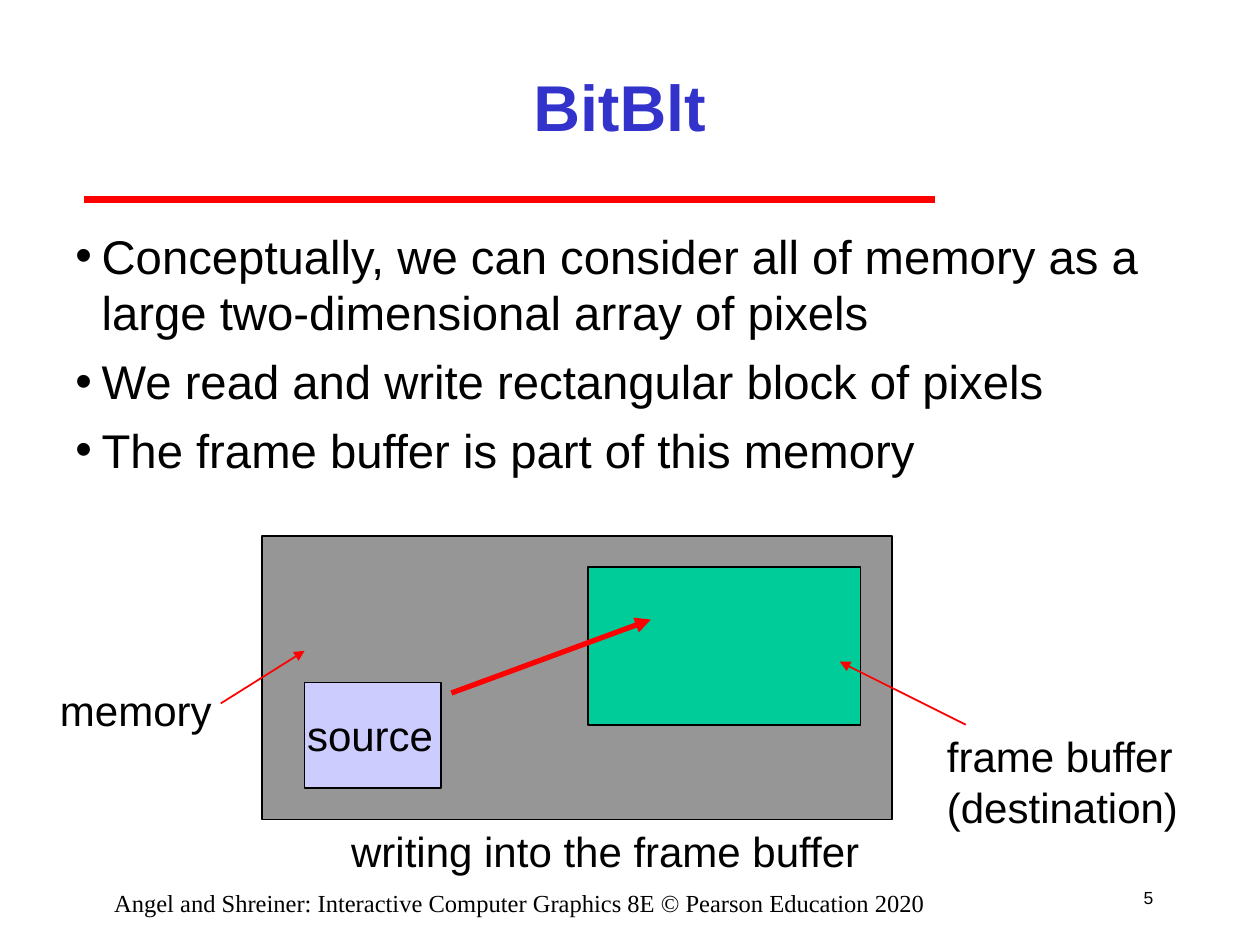
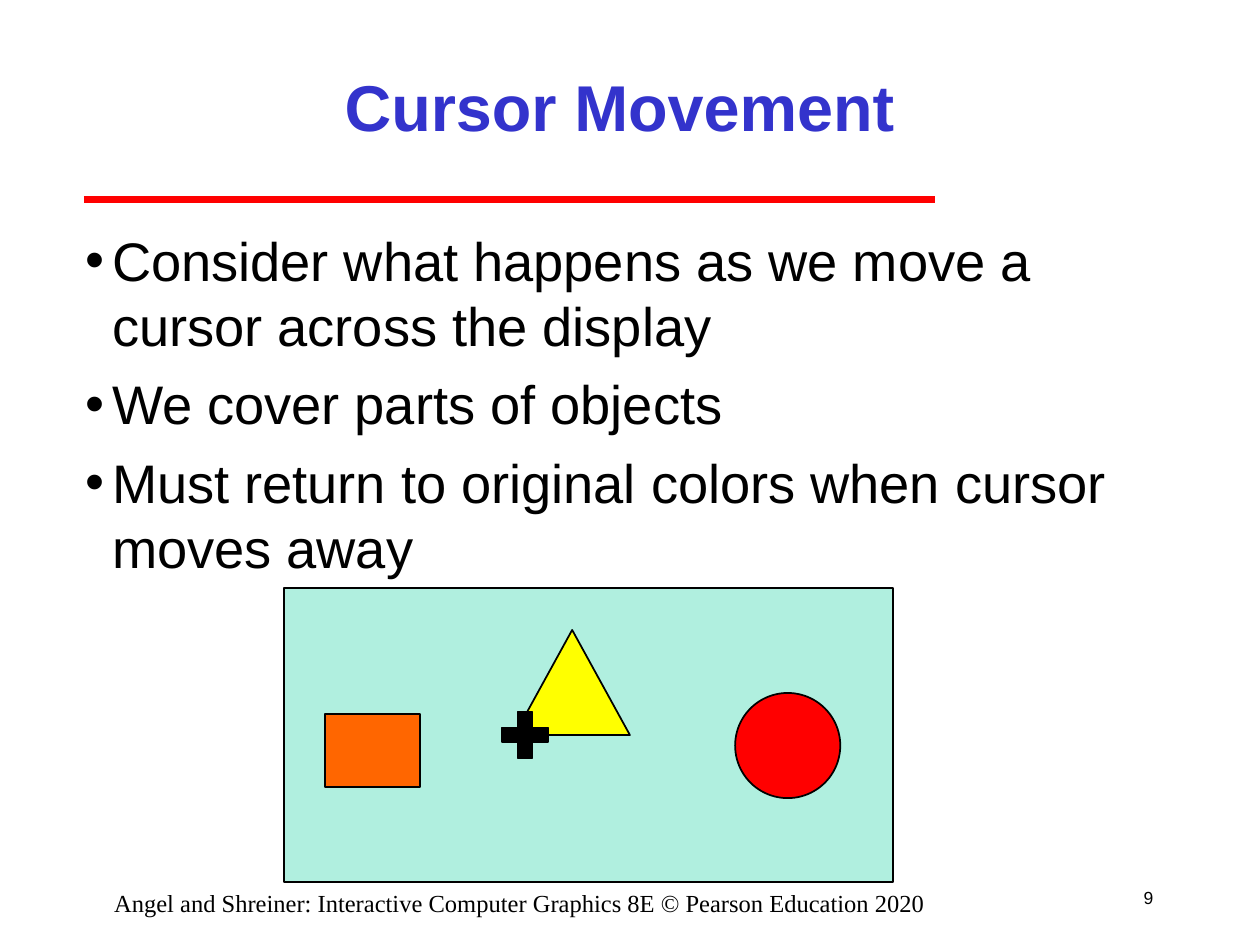
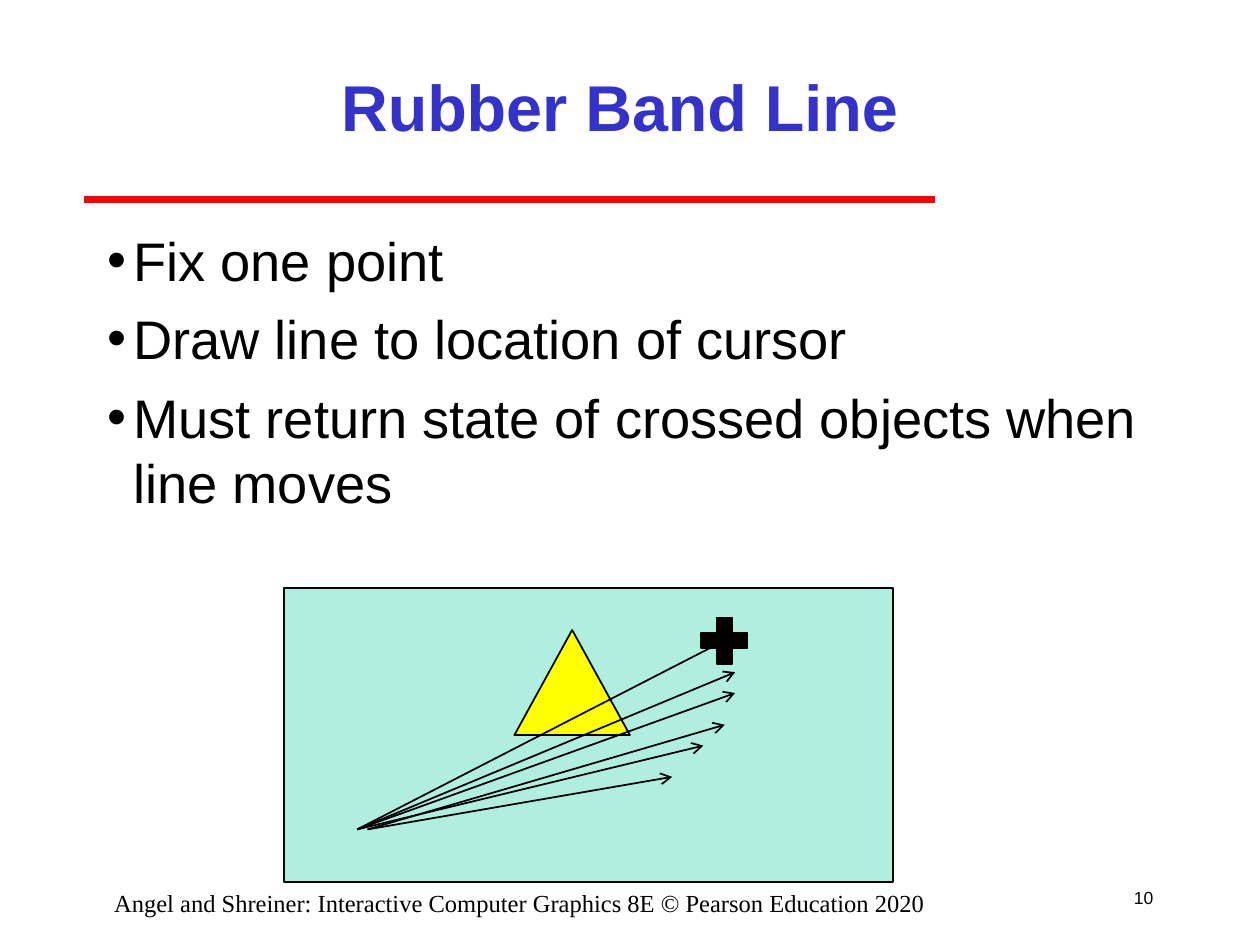
from lxml import etree
from pptx import Presentation
from pptx.dml.color import RGBColor
from pptx.enum.shapes import MSO_CONNECTOR, MSO_SHAPE
from pptx.enum.text import MSO_ANCHOR, PP_ALIGN
from pptx.oxml.ns import qn
from pptx.util import Cm, Pt

RECT = MSO_SHAPE.RECTANGLE
TRI = MSO_SHAPE.ISOSCELES_TRIANGLE
OVAL = MSO_SHAPE.OVAL
PLUS = MSO_SHAPE.MATH_PLUS
LINE = MSO_CONNECTOR.STRAIGHT
LEFT, MID, RIGHT = PP_ALIGN.LEFT, PP_ALIGN.CENTER, PP_ALIGN.RIGHT
TOP, CENTER = MSO_ANCHOR.TOP, MSO_ANCHOR.MIDDLE

BLACK = RGBColor(0x00, 0x00, 0x00)
BLUE = RGBColor(0x33, 0x33, 0xCC)
RED = RGBColor(0xFF, 0x00, 0x00)
GRAY = RGBColor(0x96, 0x96, 0x96)
GREEN = RGBColor(0x00, 0xCC, 0x99)
LILAC = RGBColor(0xCC, 0xCC, 0xFF)
YELLOW = RGBColor(0xFF, 0xFF, 0x00)
ORANGE = RGBColor(0xFF, 0x66, 0x00)

SANS, SERIF = "Arial", "Times New Roman"
CREDIT = "Angel and Shreiner: Interactive Computer Graphics 8E © Pearson Education 2020"
INDENT = Cm(0.53)


def place(shape, box):
    shape.left, shape.top, shape.width, shape.height = map(Cm, box)


def mark(para):
    props = para._p.get_or_add_pPr()
    props.set("marL", str(INDENT))
    props.set("indent", str(-INDENT))
    tint = etree.SubElement(props, qn("a:buClr"))
    etree.SubElement(tint, qn("a:srgbClr"), val=str(BLACK))
    etree.SubElement(props, qn("a:buFont"), typeface=SANS)
    etree.SubElement(props, qn("a:buChar"), char="•")


def write(frame, text, size=24, font=SANS, color=BLACK, bold=False,
          align=LEFT, anchor=TOP, wrap=True, gap=0, bullet=False):
    frame.word_wrap = wrap
    frame.vertical_anchor = anchor
    for i, words in enumerate(text.split("\n")):
        para = frame.paragraphs[0] if i == 0 else frame.add_paragraph()
        para.alignment = align
        para.space_before = Pt(gap if i else 0)
        if bullet:
            mark(para)
        run = para.add_run()
        run.text = words
        run.font.size = Pt(size)
        run.font.name = font
        run.font.bold = bold
        run.font.color.rgb = color


def label(slide, text, box, **style):
    field = slide.shapes.add_textbox(*map(Cm, box))
    write(field.text_frame, text, **style)


def points(slide, lines, left, width, size, gap):
    label(slide, "\n".join(lines), (left, 4.45, width, 13.12),
          size=size, gap=gap, bullet=True)


def block(slide, kind, box, fill, alpha=None):
    shape = slide.shapes.add_shape(kind, *map(Cm, box))
    shape.shadow.inherit = False
    shape.fill.solid()
    shape.fill.fore_color.rgb = fill
    shape.line.color.rgb = BLACK
    shape.line.width = Pt(1)
    if alpha is not None:
        tint = shape._element.spPr.find(qn("a:solidFill"))[0]
        etree.SubElement(tint, qn("a:alpha"), val=str(alpha * 1000))


def stroke(slide, start, end, color=BLACK, width=1, head=None):
    line = slide.shapes.add_connector(LINE, *map(Cm, start + end))
    line.line.color.rgb = color
    line.line.width = Pt(width)
    props = line._element.spPr
    if head:
        etree.SubElement(props.find(qn("a:ln")), qn("a:tailEnd"), type=head)
    etree.SubElement(props, qn("a:effectLst"))


def page(deck, title, number):
    slide = deck.slides.add_slide(deck.slide_layouts[5])
    place(slide.shapes.title, (3.81, 0.64, 17.36, 2.96))
    write(slide.shapes.title.text_frame, title, size=37, color=BLUE,
          bold=True, align=MID, anchor=CENTER)
    stroke(slide, (1.69, 4.02), (18.84, 4.02), RED, 4)
    label(slide, str(number), (22.44, 17.57, 1.06, 1.06), size=10,
          align=RIGHT, anchor=CENTER)
    label(slide, CREDIT, (1.27, 17.78, 18.42, 0.64), size=14, font=SERIF,
          align=MID)
    return slide


def screen(slide):
    block(slide, RECT, (5.72, 11.85, 12.28, 5.93), GREEN, 31)
    block(slide, TRI, (10.37, 12.7, 2.33, 2.12), YELLOW)


def cursor(slide, left, top):
    block(slide, PLUS, (left, top, 1.27, 1.27), BLACK)


def bitblt(deck):
    slide = page(deck, "BitBlt", 5)
    points(slide, [
        "Conceptually, we can consider all of memory as a large "
        "two-dimensional array of pixels",
        "We read and write rectangular block of pixels",
        "The frame buffer is part of this memory",
    ], 1.27, 22.86, 27, 6.8)
    for box, fill in [
        ((5.29, 10.8, 12.7, 5.72), GRAY),
        ((11.85, 11.43, 5.5, 3.18), GREEN),
        ((6.14, 13.76, 2.75, 2.12), LILAC),
    ]:
        block(slide, RECT, box, fill)
    for start, end, width in [
        ((19.47, 14.61), (16.93, 13.34), 1),
        ((9.1, 13.97), (13.12, 12.49), 3),
        ((4.45, 14.18), (6.14, 13.12), 1),
    ]:
        stroke(slide, start, end, RED, width, "triangle")
    for text, box in [
        ("frame buffer\n(destination)", (18.84, 14.61, 5.16, 2.29)),
        ("writing into the frame buffer", (6.83, 16.51, 10.77, 1.27)),
        ("source", (5.94, 14.18, 3.05, 1.27)),
        ("memory", (0.96, 13.67, 3.56, 1.27)),
    ]:
        label(slide, text, box, wrap=False)


def motion(deck):
    slide = page(deck, "Cursor Movement", 9)
    points(slide, [
        "Consider what happens as we move a cursor across the display",
        "We cover parts of objects",
        "Must return to original colors when cursor moves away",
    ], 1.48, 21.59, 31, 7.7)
    screen(slide)
    block(slide, OVAL, (14.82, 13.97, 2.12, 2.12), RED)
    cursor(slide, 9.95, 14.18)
    block(slide, RECT, (6.56, 14.39, 1.91, 1.48), ORANGE)


def rubber(deck):
    slide = page(deck, "Rubber Band Line", 10)
    points(slide, [
        "Fix one point",
        "Draw line to location of cursor",
        "Must return state of crossed objects when line moves",
    ], 1.91, 21.59, 31, 7.7)
    screen(slide)
    cursor(slide, 13.97, 12.28)
    for left, end in [
        (7.2, (14.61, 12.91)),
        (7.2, (14.82, 13.55)),
        (7.2, (14.82, 13.97)),
        (7.41, (14.61, 14.61)),
        (7.2, (14.18, 15.03)),
        (7.41, (13.55, 15.66)),
    ]:
        stroke(slide, (left, 16.72), end, head="arrow")


def main():
    deck = Presentation()
    deck.slide_width, deck.slide_height = Cm(25.4), Cm(19.05)
    bitblt(deck)
    motion(deck)
    rubber(deck)
    deck.save("out.pptx")


if __name__ == "__main__":
    main()
